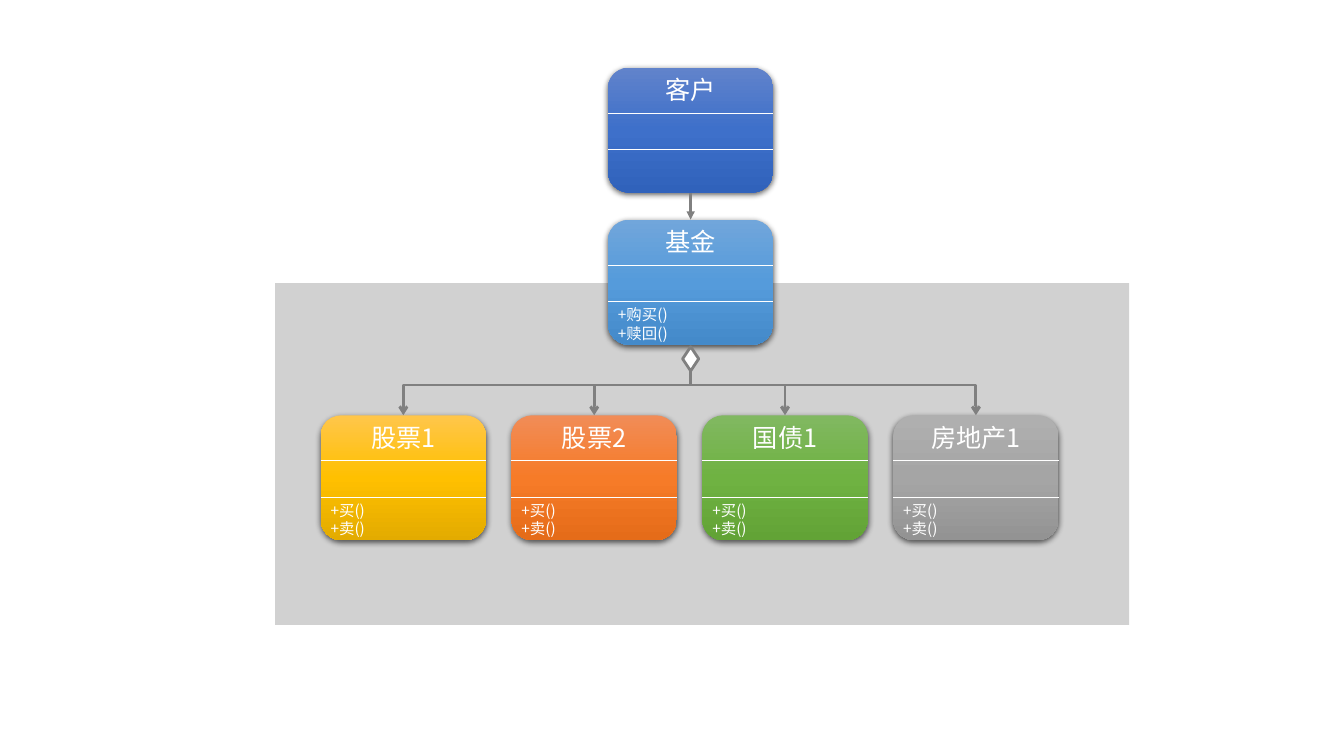
"""Build a class diagram of a client, a fund and the four assets it holds."""
from lxml import etree
from pptx import Presentation
from pptx.dml.color import RGBColor
from pptx.enum.shapes import MSO_CONNECTOR, MSO_SHAPE
from pptx.enum.text import PP_ALIGN
from pptx.oxml import parse_xml
from pptx.oxml.ns import nsdecls, qn
from pptx.util import Inches, Pt

STRAIGHT, ELBOW = MSO_CONNECTOR.STRAIGHT, MSO_CONNECTOR.ELBOW
RECTANGLE, ROUNDED = MSO_SHAPE.RECTANGLE, MSO_SHAPE.ROUNDED_RECTANGLE
DIAMOND = MSO_SHAPE.FLOWCHART_DECISION
LEFT, CENTER = PP_ALIGN.LEFT, PP_ALIGN.CENTER

FONT = "Noto Sans CJK SC"
WHITE, GRAY, PANEL = "FFFFFF", "808080", "A5A5A5"
CLIENT = ("客户", [], ("6183CB", "3E70CA", "3062BB"))
FUND = ("基金", ["+购买()", "+赎回()"], ("71A6DB", "559BDB", "448ACA"))
TRADES = ["+买()", "+卖()"]
ASSETS = [
    ("股票1", TRADES, ("FFC64B", "FFC000", "E3AB00")),
    ("股票2", TRADES, ("F18C57", "F67B28", "E56C19")),
    ("国债1", TRADES, ("81B861", "6FB242", "62A336")),
    ("房地产1", TRADES, ("AFAFAF", "A5A5A5", "939393")),
]

CLASS_W, CLASS_H = 1.64, 1.24
DIVIDERS = (0.45, 0.81)
HUB_X, HUB_Y = 6.85, 3.52
CLIENT_Y, FUND_Y, ASSET_Y = 0.67, 2.18, 4.12
ASSET_X, ASSET_STEP = 3.18, 1.893


def color(value):
    return RGBColor.from_string(value)


def add_line(shapes, kind, begin, end, line_color, width):
    line = shapes.add_connector(kind, *map(Inches, begin + end))
    line.line.color.rgb = color(line_color)
    line.line.width = Pt(width)
    etree.SubElement(line.element.spPr, qn("a:effectLst"))
    return line


def add_arrowhead(line, side, kind):
    head = etree.SubElement(line.line._get_or_add_ln(), qn(f"a:{side}"))
    head.set("type", kind)


def add_text(shapes, x, y, height, lines, size, align):
    box = shapes.add_textbox(*map(Inches, (x, y, CLASS_W, height)))
    frame = box.text_frame
    frame.word_wrap = True
    for index, text in enumerate(lines):
        paragraph = frame.add_paragraph() if index else frame.paragraphs[0]
        paragraph.alignment = align
        paragraph.line_spacing = Pt(size * 1.2)
        run = paragraph.add_run()
        run.text = text
        run.font.size = Pt(size)
        run.font.name = FONT
        run.font.color.rgb = color(WHITE)
        east_asian = etree.SubElement(run.font._element, qn("a:ea"))
        east_asian.set("typeface", FONT)


def add_class(slide, x, y, name, methods, gradient):
    shapes = slide.shapes.add_group_shape().shapes
    body = shapes.add_shape(ROUNDED, *map(Inches, (x, y, CLASS_W, CLASS_H)))
    body.line.fill.background()
    body.shadow.inherit = False
    stops = "".join(
        f'<a:gs pos="{index * 50000}"><a:srgbClr val="{stop}"/></a:gs>'
        for index, stop in enumerate(gradient))
    properties = body.element.spPr
    properties.find(qn("a:prstGeom")).addnext(parse_xml(
        f'<a:gradFill {nsdecls("a")} rotWithShape="1"><a:gsLst>{stops}</a:gsLst>'
        '<a:lin ang="5400000" scaled="0"/></a:gradFill>'))
    properties.find(qn("a:effectLst")).append(parse_xml(
        f'<a:outerShdw {nsdecls("a")} blurRad="57150" dist="19050" dir="5400000" '
        'algn="ctr" rotWithShape="0"><a:srgbClr val="000000">'
        '<a:alpha val="63000"/></a:srgbClr></a:outerShdw>'))
    for offset in DIVIDERS:
        add_line(shapes, STRAIGHT, (x, y + offset), (x + CLASS_W, y + offset), WHITE, 0.5)
    add_text(shapes, x, y + 0.02, 0.4, [name], 18, CENTER)
    if methods:
        add_text(shapes, x, y + 0.8, 0.47, methods, 11, LEFT)
    return body


def add_branch(slide, asset_x):
    """Draw an upright elbow from an asset to the hub as a turned connector."""
    half_run, half_rise = abs(HUB_X - asset_x) / 2, (ASSET_Y - HUB_Y) / 2
    middle_x, middle_y = (HUB_X + asset_x) / 2, (HUB_Y + ASSET_Y) / 2
    on_left = asset_x < HUB_X
    reach = half_rise if on_left else -half_rise
    branch = add_line(
        slide.shapes, ELBOW, (middle_x + reach, middle_y + half_run),
        (middle_x - reach, middle_y - half_run), GRAY, 2)
    turn = 90 if on_left else 270
    branch.element.spPr.find(qn("a:xfrm")).set("rot", str(turn * 60000))
    add_arrowhead(branch, "headEnd", "arrow")


def main():
    deck = Presentation()
    deck.slide_width, deck.slide_height = Inches(13.33), Inches(7.5)
    slide = deck.slides.add_slide(deck.slide_layouts[6])

    panel = slide.shapes.add_shape(RECTANGLE, *map(Inches, (2.73, 2.81, 8.47, 3.39)))
    panel.shadow.inherit = False
    panel.line.fill.background()
    panel.fill.solid()
    panel.fill.fore_color.rgb = color(PANEL)
    tint = panel.element.spPr.find(qn("a:solidFill"))[0]
    etree.SubElement(tint, qn("a:alpha")).set("val", "50000")

    center_x = HUB_X - CLASS_W / 2
    client = add_class(slide, center_x, CLIENT_Y, *CLIENT)
    for index, asset in enumerate(ASSETS):
        x = ASSET_X + index * ASSET_STEP
        add_class(slide, x, ASSET_Y, *asset)
        add_branch(slide, x + CLASS_W / 2)
    fund = add_class(slide, center_x, FUND_Y, *FUND)

    diamond = slide.shapes.add_shape(DIAMOND, *map(Inches, (6.73, 3.48, 0.24, 0.16)))
    diamond.rotation = 90
    diamond.shadow.inherit = False
    diamond.fill.solid()
    diamond.fill.fore_color.rgb = color(WHITE)
    diamond.line.color.rgb = color(GRAY)
    diamond.line.width = Pt(2)

    order = add_line(slide.shapes, STRAIGHT, (HUB_X, CLIENT_Y + CLASS_H),
                     (HUB_X, FUND_Y), GRAY, 2)
    order.begin_connect(client, 2)
    order.end_connect(fund, 0)
    add_arrowhead(order, "tailEnd", "triangle")
    deck.save("out.pptx")


if __name__ == "__main__":
    main()
